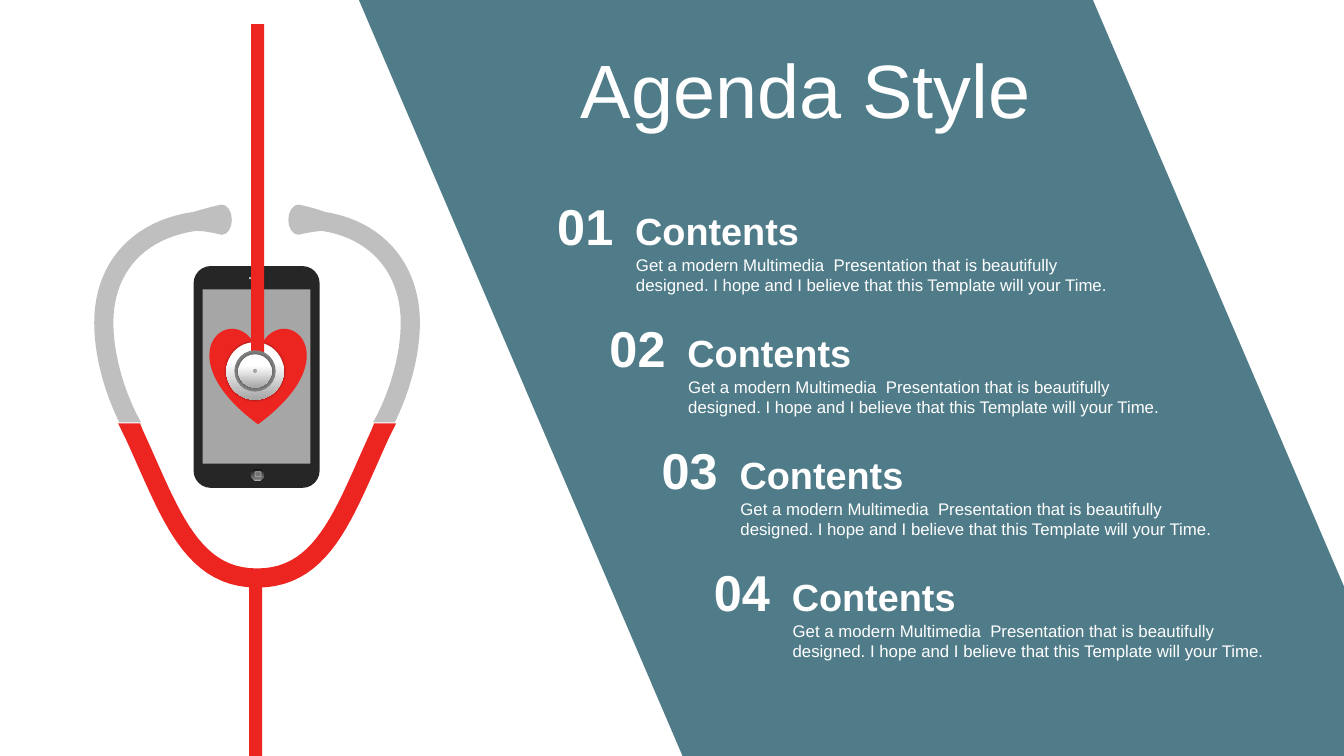
import math
from dataclasses import dataclass

from lxml import etree
from pptx import Presentation
from pptx.dml.color import RGBColor
from pptx.enum import shapes as kinds, text as txt
from pptx.oxml.ns import qn
from pptx.util import Inches, Pt

KIND = kinds.MSO_SHAPE


@dataclass(frozen=True)
class Theme:
    font: str = "Arial"
    band: str = "507C89"
    white: str = "FFFFFF"
    red: str = "ED2521"
    earpiece: str = "BFBFBF"
    case: str = "262626"
    screen: str = "A6A6A6"
    speaker: str = "B0B0B0"
    icon: str = "737373"
    ring: str = "808080"
    metal: tuple = ((0, "FFFFFF"), (35, "FFFFFF"), (100, "A6A6A6"))
    button: tuple = ((0, "0F0F0F"), (56, "595959"), (91, "808080"), (100, "BFBFBF"))
    title: int = 54
    number: int = 36
    heading: int = 27
    body: int = 12


THEME = Theme()
SLIDE_W, SLIDE_H = 13.33, 7.5
LEAN = 0.428        # sideways shift per inch down, shared by band and agenda
ROW_PITCH = 1.21
TUBE = 0.19         # thickness of the stethoscope tubes
BODY = ("Get a modern Multimedia  Presentation that is beautifully designed. "
        "I hope and I believe that this Template will your Time.")


def rgb(colour):
    return RGBColor.from_string(colour)


def paint(shape, fill):
    """Fill with one colour, or with a vertical gradient of (percent, colour) stops."""
    shape.shadow.inherit = False
    shape.line.fill.background()
    if isinstance(fill, str):
        shape.fill.solid()
        shape.fill.fore_color.rgb = rgb(fill)
        return shape
    shape.fill.gradient()
    shape.fill.gradient_angle = 270
    stops = shape.element.spPr.find(qn("a:gradFill")).find(qn("a:gsLst"))
    for stop in list(stops):
        stops.remove(stop)
    for percent, colour in fill:
        stop = etree.SubElement(stops, qn("a:gs"), pos=str(percent * 1000))
        etree.SubElement(stop, qn("a:srgbClr"), val=colour)
    return shape


def add_part(parent, kind, x, y, w, h, fill):
    return paint(parent.add_shape(kind, Inches(x), Inches(y), Inches(w), Inches(h)), fill)


def add_disc(parent, centre_x, centre_y, size, fill):
    return add_part(parent, KIND.OVAL, centre_x - size / 2, centre_y - size / 2, size, size, fill)


def add_outline(parent, x, y, contours, fill):
    builder = None
    for contour in contours:
        start, *rest = [(Inches(x + px), Inches(y + py)) for px, py in contour]
        if builder is None:
            builder = parent.build_freeform(*start)
        else:
            builder.move_to(*start)
        builder.add_line_segments(rest, close=True)
    return paint(builder.convert_to_shape(), fill)


def add_glow(shape):
    """Add a soft dark edge around the shape."""
    effects = shape.element.spPr.find(qn("a:effectLst"))
    glow = etree.SubElement(effects, qn("a:outerShdw"), blurRad=str(Pt(2)), dist="0", dir="0")
    colour = etree.SubElement(glow, qn("a:srgbClr"), val="000000")
    etree.SubElement(colour, qn("a:alpha"), val="40000")


def curve(*controls, steps=24):
    """Sample the cubic Bezier curve through four control points."""
    samples = []
    for step in range(steps + 1):
        t = step / steps
        weights = [math.comb(3, k) * t ** k * (1 - t) ** (3 - k) for k in range(4)]
        samples.append(tuple(sum(w * c[axis] for w, c in zip(weights, controls))
                             for axis in (0, 1)))
    return samples


def mirror(points, axis):
    return [(2 * axis - px, py) for px, py in points]


def sweep(path, bulb=False):
    """Outline a tube along path: ends are cut level, or the last one swells to a round bulb."""
    near, far, cap = [], [], []
    last = len(path) - 1
    for i, (px, py) in enumerate(path):
        before, after = path[max(i - 1, 0)], path[min(i + 1, last)]
        length = math.dist(before, after)
        dx, dy = (after[0] - before[0]) / length, (after[1] - before[1]) / length
        half = TUBE / 2
        if i == 0 or (i == last and not bulb):
            dx, dy, half = 0, math.copysign(1, dy), half * 1.15
        elif bulb:
            half += 0.055 * max(0, 1 - math.dist((px, py), path[-1]) / 0.25)
        near.append((px - dy * half, py + dx * half))
        far.append((px + dy * half, py - dx * half))
    if bulb:
        for step in range(1, 8):
            across = half * math.cos(step * math.pi / 8)
            along = 0.1 * math.sin(step * math.pi / 8)
            cap.append((px - dy * across + dx * along, py + dx * across + dy * along))
    return near + cap + far[::-1]


def earpiece_path(tip_x):
    side = curve((1.29, 4.19), (1.12, 3.86), (1.03, 3.5), (1.03, 3.2))
    shoulder = curve((1.03, 3.2), (1.03, 2.6), (1.45, 2.17), (tip_x, 2.18))
    return side + shoulder[1:]


def draw_stethoscope(parent, x, y):
    axis = 2.55
    hub_x, hub_y = x + 2.53, y + 3.68
    left_arm = curve((1.28, 4.2), (1.66, 5), (1.85, 5.735), (axis, 5.735))
    yoke = left_arm + mirror(left_arm, axis)[-2::-1]
    left_ear = sweep(earpiece_path(tip_x=2.2), bulb=True)
    right_ear = sweep(mirror(earpiece_path(tip_x=2.14), axis), bulb=True)

    add_part(parent, KIND.HEART, x + 2.08, y + 3.25, 0.96, 0.96, THEME.red)
    add_part(parent, KIND.RECTANGLE, x + 2.47, y + 5.8, 0.13, 1.7, THEME.red)
    add_glow(add_disc(parent, hub_x, hub_y, 0.57, THEME.metal))
    add_outline(parent, x, y, [sweep(yoke)], THEME.red)
    add_outline(parent, x, y, [right_ear, left_ear], THEME.earpiece)
    add_part(parent, KIND.RECTANGLE, x + 2.49, y + 0.24, 0.13, 3.6, THEME.red)
    chestpiece = parent.add_group_shape().shapes
    add_disc(chestpiece, hub_x, hub_y, 0.41, THEME.ring)
    add_glow(add_disc(chestpiece, hub_x, hub_y, 0.33, THEME.metal))
    add_disc(chestpiece, hub_x, hub_y, 0.04, THEME.screen)


def draw_phone(parent, x, y):
    phone = parent.add_group_shape().shapes
    case = add_part(phone, KIND.ROUNDED_RECTANGLE, x, y, 1.25, 2.2, THEME.case)
    case.adjustments[0] = 0.136
    add_part(phone, KIND.RECTANGLE, x + 0.55, y + 0.11, 0.13, 0.02, THEME.speaker)
    add_part(phone, KIND.OVAL, x + 0.57, y + 2.01, 0.13, 0.12, THEME.button)
    icon = add_part(phone, KIND.ROUNDED_RECTANGLE, x + 0.61, y + 2.04, 0.06, 0.05, THEME.icon)
    icon.line.color.rgb = rgb(THEME.speaker)
    icon.line.width = Pt(0.5)
    add_part(phone, KIND.RECTANGLE, x + 0.09, y + 0.23, 1.07, 1.73, THEME.screen)


def write(frame, words, size, bold=False, align=txt.PP_ALIGN.LEFT):
    frame.word_wrap = True
    frame.text = words
    line = frame.paragraphs[0]
    line.alignment = align
    line.font.name, line.font.size, line.font.bold = THEME.font, Pt(size), bold
    line.font.color.rgb = rgb(THEME.white)


def add_label(parent, x, y, w, h, words, size, inset=0.12, **style):
    frame = parent.add_textbox(Inches(x), Inches(y), Inches(w), Inches(h)).text_frame
    frame.margin_left = frame.margin_right = Inches(inset)
    frame.auto_size = txt.MSO_AUTO_SIZE.SHAPE_TO_FIT_TEXT
    write(frame, words, size, **style)


def place_title(title, x, y, w, h):
    title.left, title.top, title.width, title.height = map(Inches, (x, y, w, h))
    title.text_frame.auto_size = txt.MSO_AUTO_SIZE.NONE
    title.text_frame.vertical_anchor = txt.MSO_ANCHOR.MIDDLE
    write(title.text_frame, "Agenda Style", THEME.title)


def draw_agenda_item(parent, x, y, number):
    item = parent.add_group_shape().shapes
    add_label(item, x + 0.93, y + 0.59, 4.93, 0.5, BODY, THEME.body, inset=0.1)
    add_label(item, x + 0.9, y + 0.12, 4.93, 0.56, "Contents", THEME.heading, bold=True)
    add_label(item, x, y, 1.05, 0.71, f"{number:02}", THEME.number, bold=True,
              align=txt.PP_ALIGN.CENTER)


def draw_agenda(slide, x, y, w, h):
    """Draw a leaning band, clipped by the right edge of its box, with the agenda on it."""
    top_edge = 7.28
    corners = [(0, 0), (top_edge, 0), (w, (w - top_edge) / LEAN), (w, h), (LEAN * h, h)]
    band = add_outline(slide.shapes, x, y, [corners], THEME.band)
    slide.shapes.title.element.addprevious(band.element)  # title stays in front
    place_title(slide.shapes.title, x + 2.1, y + 0.37, 6.59, 1.01)
    for row in range(4):
        drop = row * ROW_PITCH
        draw_agenda_item(slide.shapes, x + 1.72 + LEAN * drop, y + 1.89 + drop, row + 1)


def main():
    deck = Presentation()
    deck.slide_width, deck.slide_height = Inches(SLIDE_W), Inches(SLIDE_H)
    slide = deck.slides.add_slide(deck.slide_layouts[5])
    band_left = 3.56
    draw_agenda(slide, band_left, 0, SLIDE_W - band_left, SLIDE_H)
    draw_phone(slide.shapes, 1.92, 2.64)
    draw_stethoscope(slide.shapes, 0, 0)
    deck.save("out.pptx")


if __name__ == "__main__":
    main()
